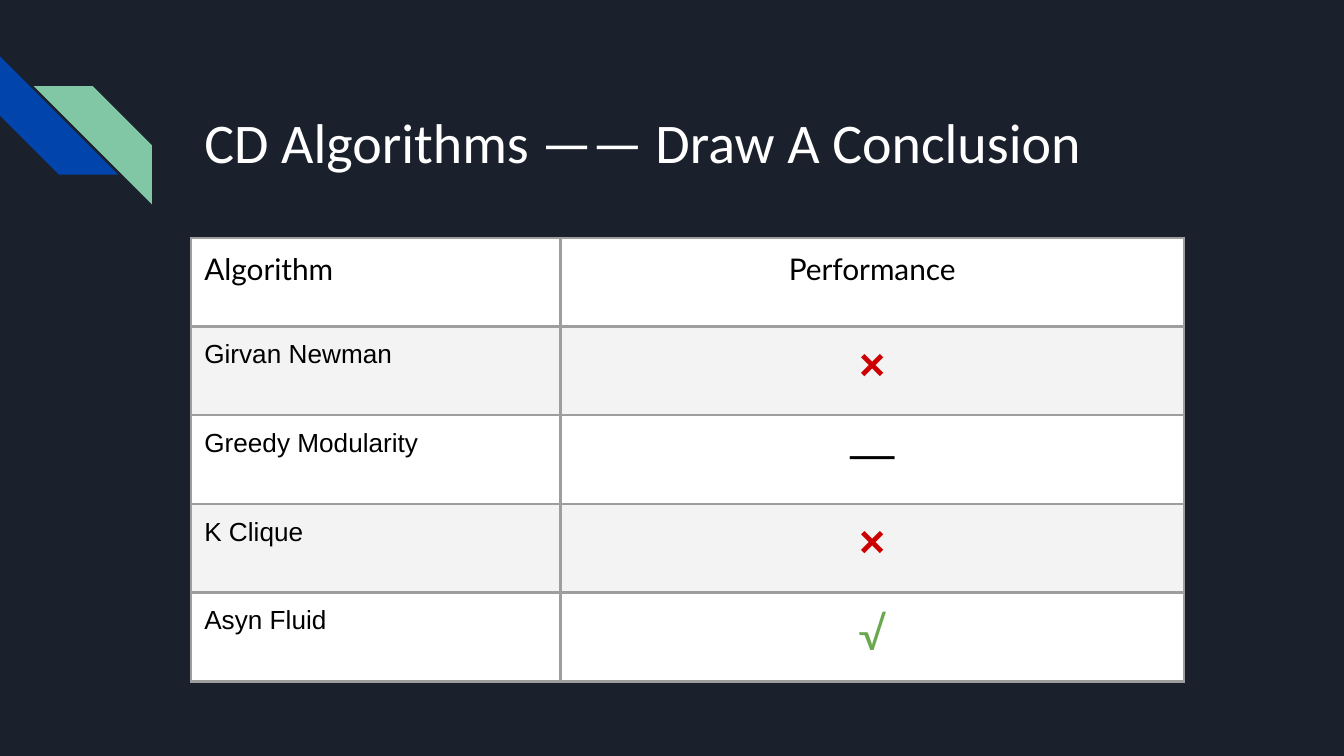
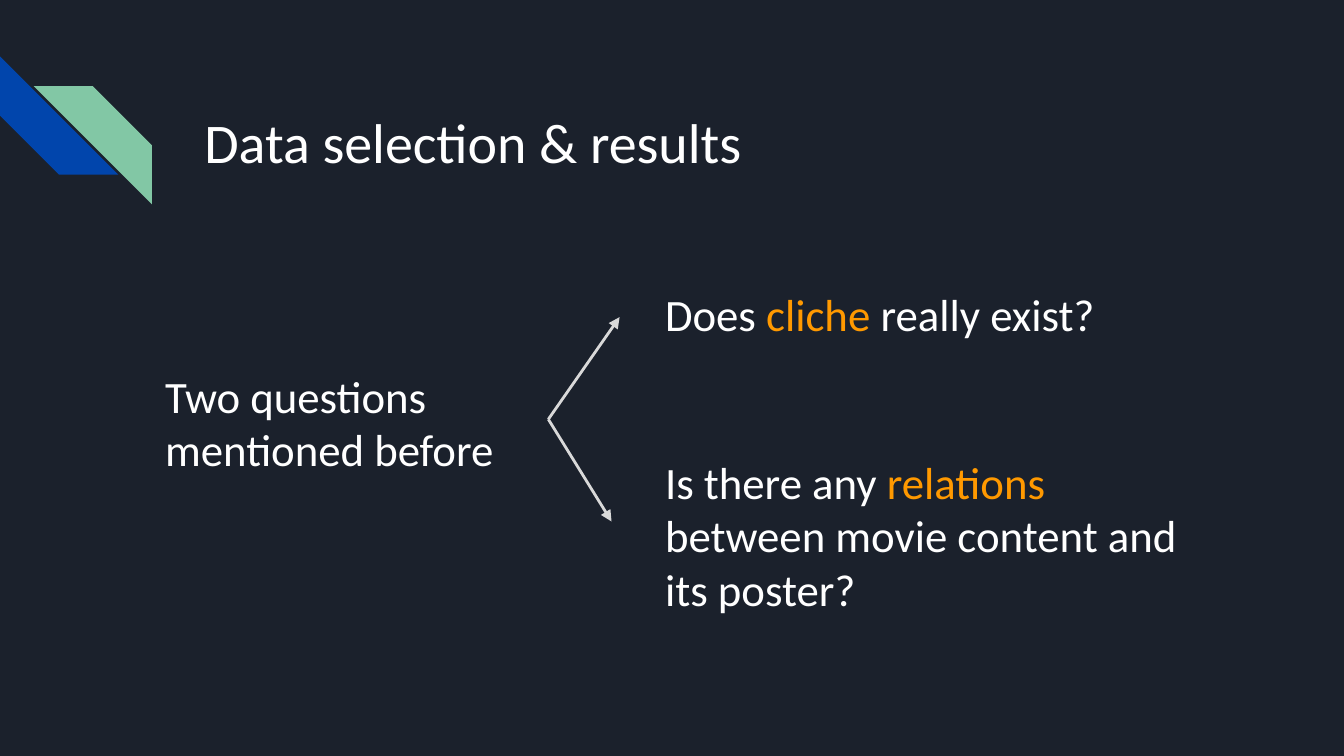
from lxml.etree import SubElement
from pptx import Presentation
from pptx.dml.color import RGBColor
from pptx.enum.shapes import MSO_CONNECTOR, MSO_SHAPE
from pptx.enum.text import MSO_ANCHOR, MSO_AUTO_SIZE, PP_ALIGN
from pptx.oxml.ns import qn
from pptx.util import Inches, Pt

COLORS = {
    "background": "1B212C",
    "blue": "0145AC",
    "green": "82C7A5",
    "white": "FFFFFF",
    "black": "000000",
    "band": "F3F3F3",
    "border": "9E9E9E",
    "arrow": "D9D9D9",
    "accent": "FF9900",
    "bad": "CC0000",
    "good": "6AA84F",
}
TITLE = {"name": "Calibri", "size": Pt(30), "color": "white"}
BODY = {"name": "Calibri", "size": Pt(24), "color": "white"}
ACCENT = {**BODY, "color": "accent"}
HEADER = {"name": "Lato", "size": Pt(16), "bold": False, "color": "black"}
LABEL = {"name": "Arial", "size": Pt(14), "bold": False, "color": "black"}
NEUTRAL = {**LABEL, "size": Pt(24)}
BAD = {**NEUTRAL, "bold": True, "color": "bad"}
GOOD = {**NEUTRAL, "name": "Lato", "color": "good"}

PAGE_WIDTH = Inches(10)
PAGE_HEIGHT = PAGE_WIDTH * 9 // 16
INSET = 0.1
STRIPE_SIZE = 0.88
COLUMN_WIDTHS = (2.75, 4.64)
ROW_HEIGHT = 0.66
RESULTS = [
    (("Algorithm", HEADER), ("Performance", HEADER)),
    (("Girvan Newman", LABEL), ("×", BAD)),
    (("Greedy Modularity", LABEL), ("—", NEUTRAL)),
    (("K Clique", LABEL), ("×", BAD)),
    (("Asyn Fluid", LABEL), ("√", GOOD)),
]


def rgb(name):
    return RGBColor.from_string(COLORS[name])


def paint(fill, name):
    fill.solid()
    fill.fore_color.rgb = rgb(name)


def set_insets(holder, top=INSET):
    """Set the margins of a text frame or a table cell."""
    for side in ("left", "right", "bottom"):
        setattr(holder, f"margin_{side}", Inches(INSET))
    holder.margin_top = Inches(top)


def write(para, spans, align=PP_ALIGN.LEFT):
    """Fill a paragraph with (text, format) spans."""
    para.alignment = align
    for text, style in spans:
        span = para.add_run()
        span.text = text
        for key, value in style.items():
            if key == "color":
                span.font.color.rgb = rgb(value)
            else:
                setattr(span.font, key, value)


def fill_frame(frame, spans, top=INSET):
    frame.word_wrap = True
    frame.auto_size = MSO_AUTO_SIZE.NONE
    frame.vertical_anchor = MSO_ANCHOR.TOP
    set_insets(frame, top)
    write(frame.paragraphs[0], spans)


def add_stripe(page, left, top, color):
    stripe = page.shapes.add_shape(
        MSO_SHAPE.DIAGONAL_STRIPE, Inches(left), Inches(top),
        Inches(STRIPE_SIZE), Inches(STRIPE_SIZE))
    stripe.adjustments[0] = 0.5
    stripe.shadow.inherit = False
    paint(stripe.fill, color)
    stripe.line.fill.background()
    return stripe


def add_page(deck, title, title_width):
    """Add a slide with the corner stripes and a title."""
    page = deck.slides.add_slide(deck.slide_layouts[5])
    add_stripe(page, 0, 0.42, "blue").rotation = 270
    green = add_stripe(page, 0.25, 0.64, "green")
    green.element.spPr.find(qn("a:xfrm")).set("flipH", "1")

    box = page.shapes.title
    box.left, box.top = Inches(1.42), Inches(0.7)
    box.width, box.height = Inches(title_width), Inches(0.71)
    fill_frame(box.text_frame, [(title, TITLE)])
    return page


def add_text(page, left, top, width, height, spans, inset_top=INSET):
    box = page.shapes.add_textbox(
        Inches(left), Inches(top), Inches(width), Inches(height))
    fill_frame(box.text_frame, spans, inset_top)


def add_arrow(page, start, end):
    arrow = page.shapes.add_connector(
        MSO_CONNECTOR.STRAIGHT, *map(Inches, (*start, *end)))
    arrow.line.color.rgb = rgb("arrow")
    arrow.line.width = Pt(1.5)
    SubElement(arrow.line._get_or_add_ln(), qn("a:tailEnd"), type="triangle")
    SubElement(arrow.element.spPr, qn("a:effectLst"))


def add_borders(cell):
    properties = cell._tc.get_or_add_tcPr()
    for side in ("lnL", "lnR", "lnT", "lnB"):
        line = SubElement(properties, qn(f"a:{side}"), w=str(Pt(1.5)))
        fill = SubElement(line, qn("a:solidFill"))
        SubElement(fill, qn("a:srgbClr"), val=COLORS["border"])


def add_results_table(page, left, top):
    table = page.shapes.add_table(
        len(RESULTS), len(COLUMN_WIDTHS), Inches(left), Inches(top),
        Inches(sum(COLUMN_WIDTHS)), Inches(ROW_HEIGHT * len(RESULTS))).table
    table.first_row = table.horz_banding = False
    for column, width in zip(table.columns, COLUMN_WIDTHS):
        column.width = Inches(width)
    for row_index, entries in enumerate(RESULTS):
        table.rows[row_index].height = Inches(ROW_HEIGHT)
        for column_index, entry in enumerate(entries):
            cell = table.cell(row_index, column_index)
            set_insets(cell)
            add_borders(cell)
            paint(cell.fill, "band" if row_index % 2 else "white")
            align = PP_ALIGN.CENTER if column_index else PP_ALIGN.LEFT
            write(cell.text_frame.paragraphs[0], [entry], align)


def add_conclusion_page(deck):
    page = add_page(deck, "CD Algorithms —— Draw A Conclusion", 8.02)
    add_results_table(page, 1.42, 1.77)


def add_questions_page(deck):
    page = add_page(deck, "Data selection & results", 7.7)
    add_text(page, 1.13, 1.73, 2.95, 3.18,
             [("Two questions mentioned before", BODY)], inset_top=1.01)
    fork = (4.08, 3.12)
    for tip in ((4.61, 2.36), (4.55, 3.88)):
        add_arrow(page, fork, tip)
    add_text(page, 4.85, 2.03, 3.83, 0.41, [
        ("Does ", BODY), ("cliche", ACCENT), (" really exist?", BODY)])
    add_text(page, 4.85, 3.28, 4.09, 0.71, [
        ("Is there any ", BODY), ("relations", ACCENT),
        (" between movie content and its poster?", BODY)])


def main():
    deck = Presentation()
    deck.slide_width, deck.slide_height = PAGE_WIDTH, PAGE_HEIGHT
    paint(deck.slide_master.background.fill, "background")
    add_conclusion_page(deck)
    add_questions_page(deck)
    deck.save("out.pptx")


if __name__ == "__main__":
    main()
